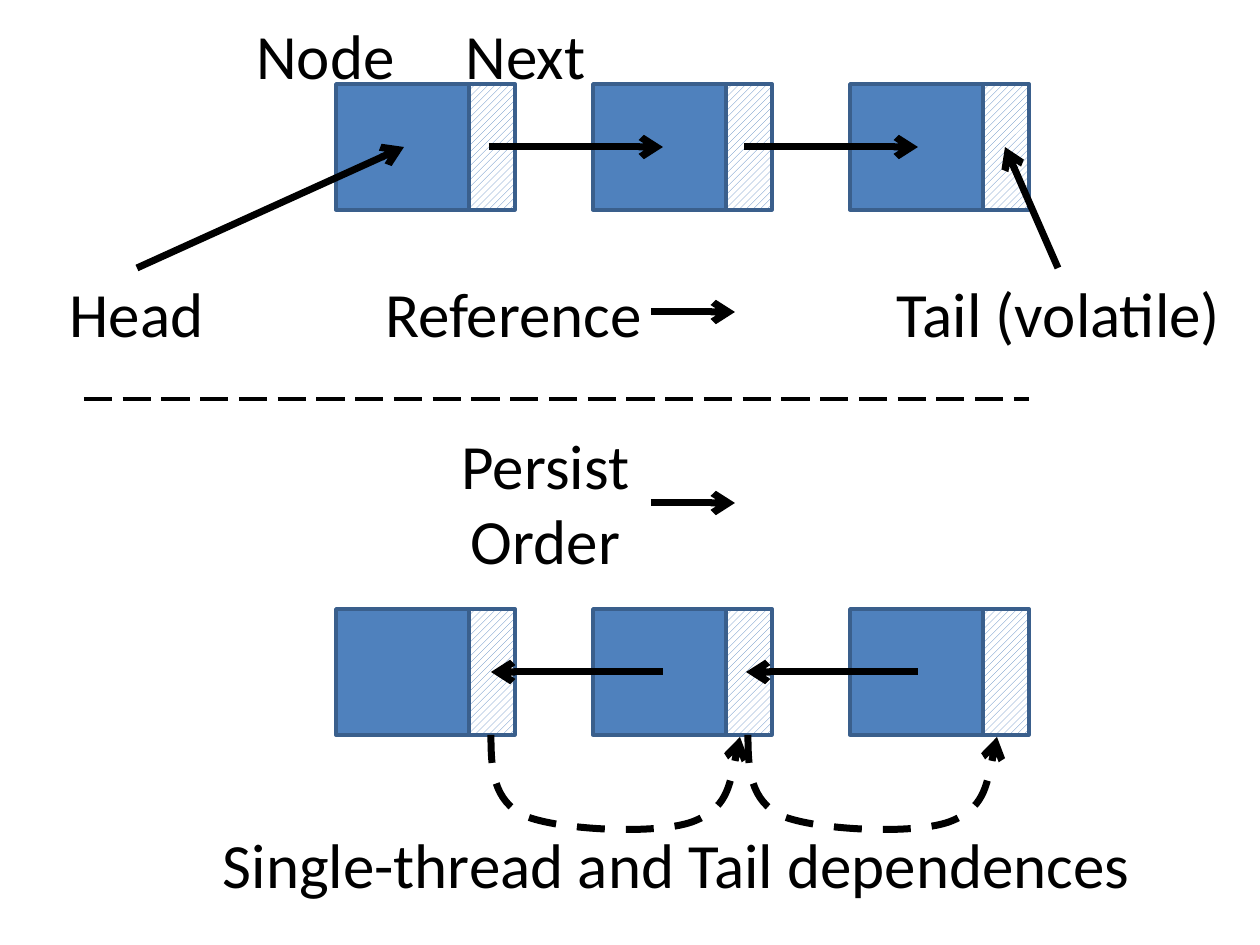
from lxml import etree
from pptx import Presentation
from pptx import util as u
from pptx.dml.color import RGBColor
from pptx.enum import dml, shapes, text
from pptx.oxml.ns import qn

BLUE = RGBColor(0x4F, 0x81, 0xBD)
EDGE = RGBColor(0x3A, 0x5F, 0x8C)
BLACK = RGBColor(0, 0, 0)
WHITE = RGBColor(0xFF, 0xFF, 0xFF)
PIXEL = u.Inches(1) / 126


def px(*lengths):
    return [round(length * PIXEL) for length in lengths]


class Diagram:
    font = "Calibri"
    size = u.Pt(36)

    def __init__(self, slide):
        self.slide = slide

    def label(self, words, left, top, width, height=89):
        box = self.slide.shapes.add_textbox(*px(left, top, width, height))
        frame = box.text_frame
        frame.word_wrap = True
        frame.auto_size = text.MSO_AUTO_SIZE.SHAPE_TO_FIT_TEXT
        para = frame.paragraphs[0]
        para.text = words
        para.alignment = text.PP_ALIGN.CENTER
        para.font.name = self.font
        para.font.size = self.size
        para.font.color.rgb = BLACK

    def cell(self, group, left, top, width, hatched):
        cell = group.shapes.add_shape(shapes.MSO_SHAPE.RECTANGLE, *px(left, top, width, 126))
        cell.shadow.inherit = False
        if hatched:
            cell.fill.patterned()
            cell.fill.pattern = dml.MSO_PATTERN.WIDE_UPWARD_DIAGONAL
            cell.fill.fore_color.rgb = BLUE
            cell.fill.back_color.rgb = WHITE
        else:
            cell.fill.solid()
            cell.fill.fore_color.rgb = BLUE
        cell.line.color.rgb = EDGE
        cell.line.width = u.Pt(2)

    def node(self, left, top):
        group = self.slide.shapes.add_group_shape()
        self.cell(group, left, top, 135, False)
        self.cell(group, left + 133, top, 46, True)

    def stroke(self, shape, width, dash, arrow):
        shape.line.color.rgb = BLACK
        shape.line.width = u.Pt(width)
        if dash:
            shape.line.dash_style = dash
        if arrow:
            outline = shape._element.spPr.find(qn("a:ln"))
            etree.SubElement(outline, qn("a:tailEnd"), type="arrow")

    def line(self, start, end, width=4, dash=None, arrow=True):
        line = self.slide.shapes.add_connector(shapes.MSO_CONNECTOR.STRAIGHT, *px(*start, *end))
        self.stroke(line, width, dash, arrow)
        etree.SubElement(line._element.spPr, qn("a:effectLst"))

    def curve(self, start, controls):
        builder = self.slide.shapes.build_freeform(*start, scale=PIXEL)
        builder.add_line_segments(controls, close=False)
        curve = builder.convert_to_shape()
        segments = curve._element.xpath(".//a:lnTo")
        for first in range(0, len(segments), 3):
            bezier = etree.Element(qn("a:cubicBezTo"))
            segments[first].addprevious(bezier)
            for segment in segments[first:first + 3]:
                bezier.append(segment[0])
                segment.getparent().remove(segment)
        curve.shadow.inherit = False
        curve.fill.background()
        self.stroke(curve, 4, dml.MSO_LINE.DASH, True)


deck = Presentation()
deck.slide_width, deck.slide_height = u.Inches(10), u.Inches(7.5)
diagram = Diagram(deck.slides.add_slide(deck.slide_layouts[6]))

NODE_STEP = 257
LINK_STEP = 255

for top in (84, 609):
    for column in range(3):
        diagram.node(336 + column * NODE_STEP, top)

for words, *place in (
    ("Node", 199, 10, 253),
    ("Next", 399, 10, 253),
    ("Head", 10, 268, 253),
    ("Reference", 364, 268, 299),
    ("Tail (volatile)", 804, 268, 509),
    ("Persist Order", 415, 420, 261, 165),
    ("Single-thread and Tail dependences", 199, 819, 955),
):
    diagram.label(words, *place)

diagram.line((84, 399), (1029, 399), 2, dml.MSO_LINE.LONG_DASH, False)
diagram.line((137, 268), (404, 147))
diagram.line((1058, 268), (1005, 147))
for y in (312, 503):
    diagram.line((651, y), (735, y))

CONTROLS = (
    (491, 769), (493, 801), (525, 816),
    (559, 830), (655, 835), (692, 822),
    (727, 809), (733, 772), (740, 737),
)
for link in range(2):
    shift = link * LINK_STEP
    diagram.line((489 + shift, 147), (663 + shift, 147))
    diagram.line((663 + shift, 672), (491 + shift, 672))
    offset = link * NODE_STEP
    diagram.curve((491 + offset, 735), [(x + offset, y) for x, y in CONTROLS])

deck.save("out.pptx")
